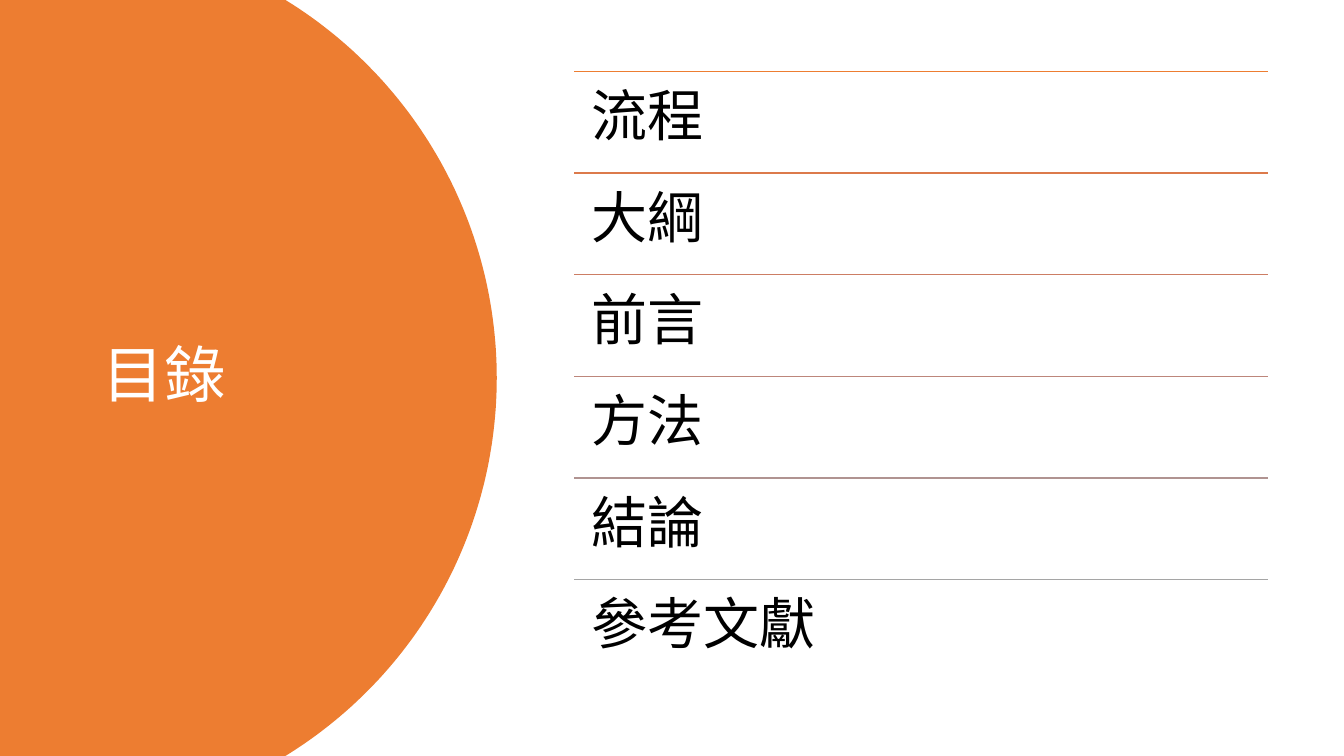
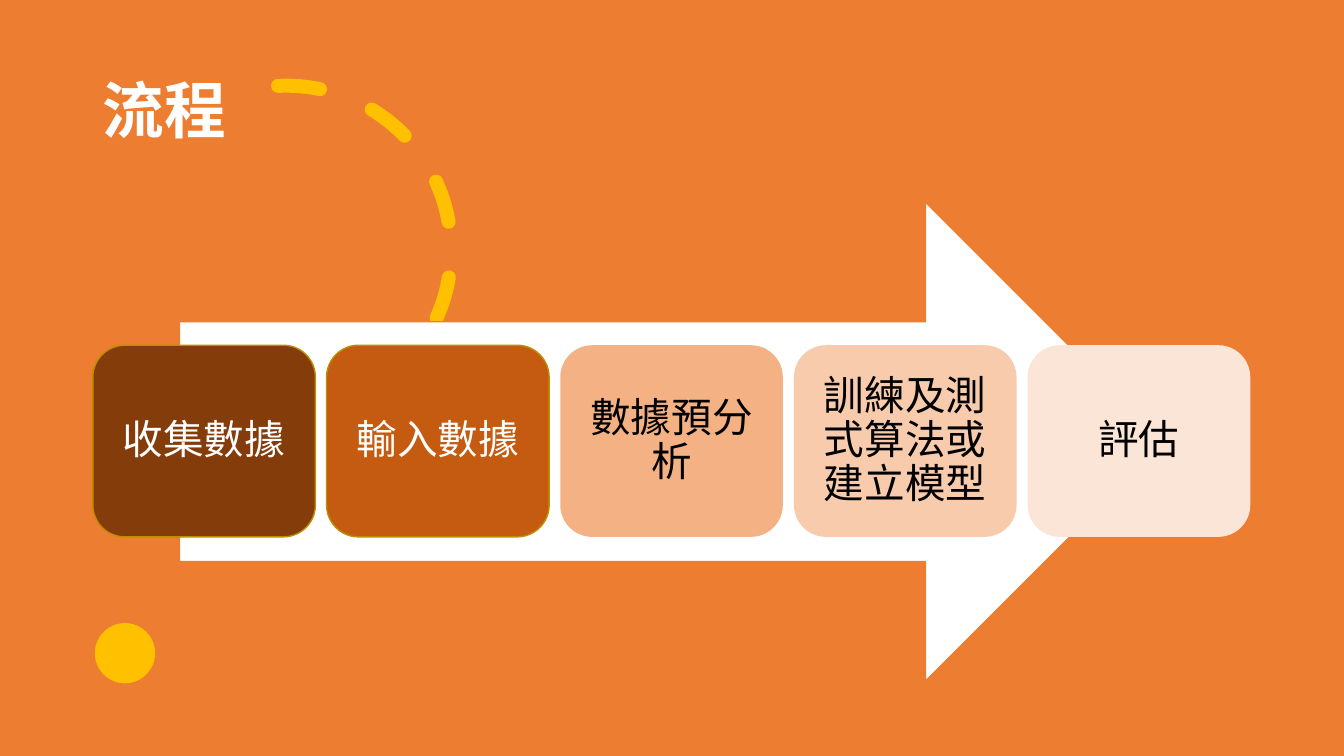
"""Build a contents slide and a process slide that share one orange theme."""
import dataclasses
import math
from typing import Optional

import lxml.etree
import pptx
import pptx.dml.color
import pptx.enum.dml
import pptx.enum.shapes
import pptx.enum.text
import pptx.oxml.ns
import pptx.presentation
import pptx.shapes.autoshape
import pptx.shapes.shapetree
import pptx.slide
import pptx.text.text
import pptx.util

Cm = pptx.util.Cm
Pt = pptx.util.Pt
RGBColor = pptx.dml.color.RGBColor
ShapeType = pptx.enum.shapes.MSO_SHAPE
Align = pptx.enum.text.PP_ALIGN
Anchor = pptx.enum.text.MSO_ANCHOR
qn = pptx.oxml.ns.qn

ORANGE = RGBColor(0xED, 0x7D, 0x31)
GOLD = RGBColor(0xFF, 0xC0, 0x00)
DARK_GOLD = RGBColor(0xBD, 0x8E, 0x00)
WHITE = RGBColor(0xFF, 0xFF, 0xFF)
BLACK = RGBColor(0x00, 0x00, 0x00)
RULE_2 = RGBColor(0xDC, 0x7A, 0x4B)
RULE_3 = RGBColor(0xCC, 0x7D, 0x64)
RULE_4 = RGBColor(0xBD, 0x86, 0x7B)
RULE_5 = RGBColor(0xB0, 0x93, 0x91)
GREY = RGBColor(0xA5, 0xA5, 0xA5)
BROWN = RGBColor(0x84, 0x3C, 0x0B)
RUST = RGBColor(0xC5, 0x5A, 0x11)
APRICOT = RGBColor(0xF4, 0xB1, 0x83)
PEACH = RGBColor(0xF8, 0xCB, 0xAD)
CREAM = RGBColor(0xFB, 0xE5, 0xD6)

ROBOTO = "Roboto"
CALIBRI = "Calibri"
SLIDE_WIDTH = 33.87
SLIDE_HEIGHT = 19.05
TITLE_LEFT = 2.34


@dataclasses.dataclass(frozen=True)
class Box:
    left: float
    top: float
    width: float
    height: float

    def lengths(self) -> tuple:
        return Cm(self.left), Cm(self.top), Cm(self.width), Cm(self.height)


@dataclasses.dataclass(frozen=True)
class TextStyle:
    font: str
    size: float
    color: RGBColor
    bold: bool = False
    align: Align = Align.LEFT
    anchor: Anchor = Anchor.MIDDLE


@dataclasses.dataclass(frozen=True)
class Topic:
    text: str
    rule_color: RGBColor


@dataclasses.dataclass(frozen=True)
class Step:
    text: str
    fill: RGBColor
    text_color: RGBColor = BLACK
    outline: Optional[RGBColor] = None


TOPICS = (
    Topic("流程", ORANGE),
    Topic("大綱", RULE_2),
    Topic("前言", RULE_3),
    Topic("方法", RULE_4),
    Topic("結論", RULE_5),
    Topic("參考文獻", GREY),
)
STEPS = (
    Step("收集數據", BROWN, WHITE, DARK_GOLD),
    Step("輸入數據", RUST, WHITE, DARK_GOLD),
    Step("數據預分析", APRICOT),
    Step("訓練及測式算法或建立模型", PEACH),
    Step("評估", CREAM),
)


def write_text(frame: pptx.text.text.TextFrame, text: str, style: TextStyle,
               inset: Optional[float] = None) -> None:
    frame.text = text
    frame.word_wrap = True
    frame.auto_size = pptx.enum.text.MSO_AUTO_SIZE.NONE
    frame.vertical_anchor = style.anchor
    if inset is not None:
        frame.margin_left = frame.margin_right = Cm(inset)
        frame.margin_top = frame.margin_bottom = Cm(inset)
    paragraph = frame.paragraphs[0]
    paragraph.alignment = style.align
    paragraph.line_spacing = 0.9
    font = paragraph.runs[0].font
    font.name = style.font
    font.size = Pt(style.size)
    font.bold = style.bold
    font.color.rgb = style.color


def paint(shape: pptx.shapes.autoshape.Shape, fill: Optional[RGBColor],
          outline: Optional[RGBColor] = None, line_width: float = 1) -> None:
    shape.shadow.inherit = False
    if fill is None:
        shape.fill.background()
    else:
        shape.fill.solid()
        shape.fill.fore_color.rgb = fill
    if outline is None:
        shape.line.fill.background()
    else:
        shape.line.color.rgb = outline
        shape.line.width = Pt(line_width)


def add_title(slide: pptx.slide.Slide, text: str, box: Box, style: TextStyle) -> None:
    title = slide.shapes.title
    title.left, title.top, title.width, title.height = box.lengths()
    write_text(title.text_frame, text, style)
    title.element.getparent().append(title.element)


def add_rule(shapes: pptx.shapes.shapetree.GroupShapes, left: float, top: float,
             width: float, color: RGBColor) -> None:
    rule = shapes.add_connector(pptx.enum.shapes.MSO_CONNECTOR.STRAIGHT,
                                Cm(left), Cm(top), Cm(left + width), Cm(top))
    rule.line.color.rgb = color
    rule.line.width = Pt(1)
    properties = rule.element.find(qn("p:spPr"))
    lxml.etree.SubElement(properties, qn("a:effectLst"))


def add_round_panel(slide: pptx.slide.Slide) -> None:
    radius = 11.18
    center_x = 1.34
    center_y = SLIDE_HEIGHT / 2
    half_angle = math.asin(center_y / radius)
    segments = 120
    points = []
    for index in range(segments + 1):
        angle = half_angle * (2 * index / segments - 1)
        points.append((Cm(center_x + radius * math.cos(angle)),
                       Cm(center_y + radius * math.sin(angle))))
    points.append((0, Cm(SLIDE_HEIGHT)))
    builder = slide.shapes.build_freeform(0, 0)
    builder.add_line_segments(points, close=True)
    paint(builder.convert_to_shape(), ORANGE)


def add_dashed_arc(slide: pptx.slide.Slide) -> None:
    arc = slide.shapes.add_shape(ShapeType.ARC, *Box(3.07, 2.16, 8.3, 8.3).lengths())
    arc.adjustments[0] = 162
    arc.adjustments[1] = 22.87
    arc.rotation = 357.1
    paint(arc, None, GOLD, 10)
    arc.line.dash_style = pptx.enum.dml.MSO_LINE.DASH
    arc.element.find(qn("p:spPr")).find(qn("a:ln")).set("cap", "rnd")


def build_contents(presentation: pptx.presentation.Presentation) -> None:
    slide = presentation.slides.add_slide(presentation.slide_layouts[5])
    add_round_panel(slide)
    add_title(slide, "目錄", Box(TITLE_LEFT, 1.78, 8.2, 15.47),
              TextStyle(ROBOTO, 44, WHITE))
    left, first_top, width, pitch = 14.47, 1.8, 17.48, 2.56
    style = TextStyle(ROBOTO, 40, BLACK, anchor=Anchor.TOP)
    shapes = slide.shapes.add_group_shape().shapes
    for index, topic in enumerate(TOPICS):
        top = first_top + index * pitch
        add_rule(shapes, left, top, width, topic.rule_color)
        label = shapes.add_textbox(*Box(left, top, width, pitch).lengths())
        write_text(label.text_frame, topic.text, style, inset=0.43)


def build_process(presentation: pptx.presentation.Presentation) -> None:
    slide = presentation.slides.add_slide(presentation.slide_layouts[5])
    backdrop = slide.shapes.add_shape(
        ShapeType.RECTANGLE, *Box(0, 0, SLIDE_WIDTH, SLIDE_HEIGHT).lengths())
    paint(backdrop, ORANGE)
    add_dashed_arc(slide)
    dot = slide.shapes.add_shape(ShapeType.OVAL, *Box(2.39, 15.7, 1.52, 1.52).lengths())
    paint(dot, GOLD)
    add_title(slide, "流程", Box(TITLE_LEFT, 1.01, 29.21, 3.68),
              TextStyle(CALIBRI, 44, WHITE, bold=True))
    shapes = slide.shapes.add_group_shape().shapes
    arrow = shapes.add_shape(ShapeType.RIGHT_ARROW,
                             *Box(4.52, 5.09, 24.84, 12.08).lengths())
    paint(arrow, WHITE, ORANGE)
    pitch = 5.89
    for index, step in enumerate(STEPS):
        box = Box(TITLE_LEFT + index * pitch, 8.7, 5.61, 4.83)
        card = shapes.add_shape(ShapeType.ROUNDED_RECTANGLE, *box.lengths())
        paint(card, step.fill, step.outline)
        style = TextStyle(CALIBRI, 29, step.text_color, align=Align.CENTER)
        write_text(card.text_frame, step.text, style, inset=0.3)


def main() -> None:
    presentation = pptx.Presentation()
    presentation.slide_width = Cm(SLIDE_WIDTH)
    presentation.slide_height = Cm(SLIDE_HEIGHT)
    build_contents(presentation)
    build_process(presentation)
    presentation.save("out.pptx")


main()
